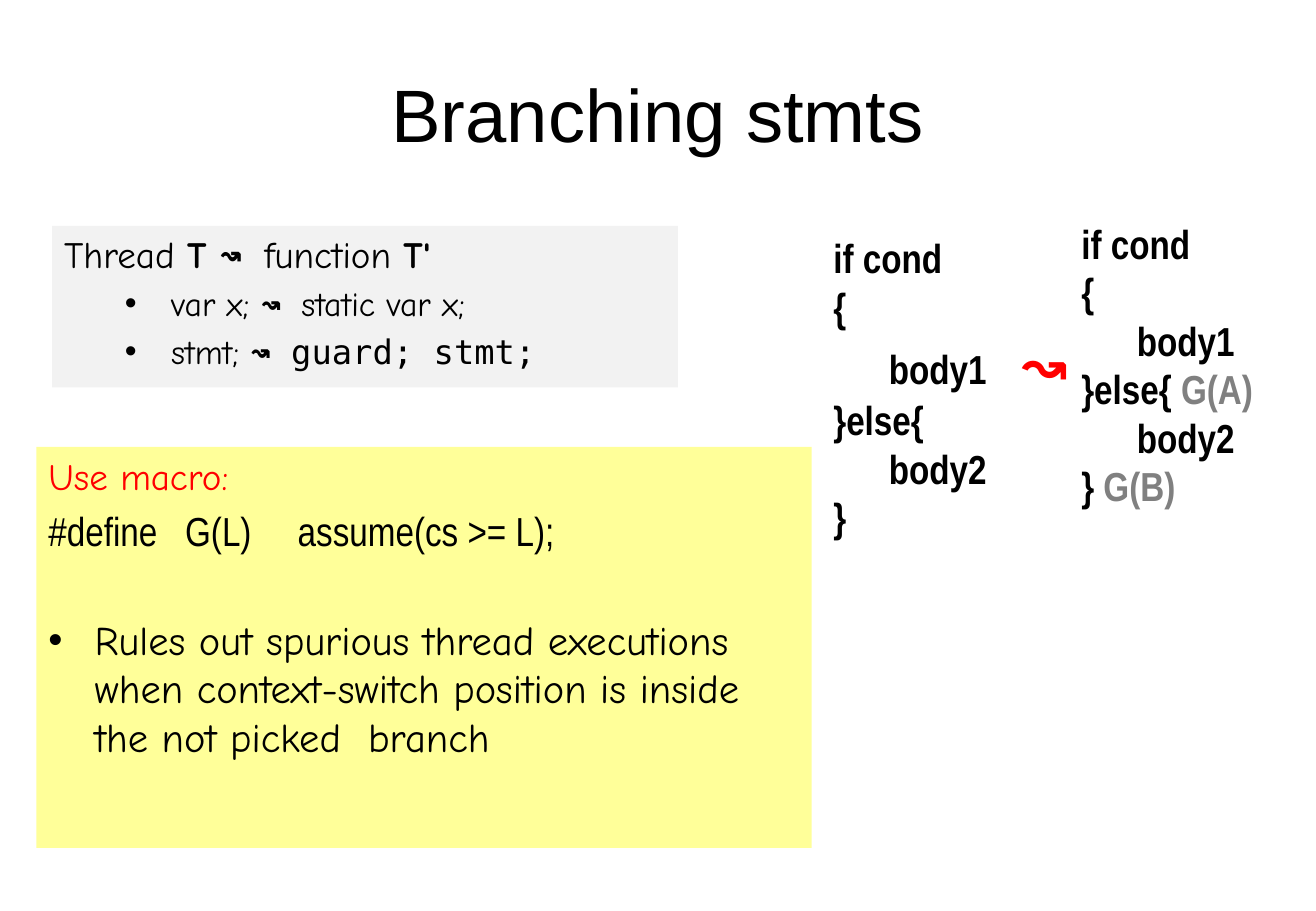
from lxml.etree import SubElement
from pptx import Presentation
from pptx.dml.color import RGBColor
from pptx.enum.shapes import MSO_SHAPE
from pptx.enum.text import MSO_ANCHOR, PP_ALIGN
from pptx.oxml.ns import qn
from pptx.util import Inches, Pt

WIDTH, HEIGHT = Inches(10.83), Inches(7.5)
GRID = 100
COLORS = {"black": "000000", "red": "FF0000", "gray": "808080",
          "yellow": "FFFF99", "light": "F2F2F2"}
TITLE = {"name": "Arial", "size": Pt(44)}
HEAD = {"name": "Comic Neue", "size": Pt(22)}
STRONG = {**HEAD, "bold": True}
RULE = {**HEAD, "size": Pt(20)}
NOTE = {**HEAD, "size": Pt(24)}
MONO = {"name": "DejaVu Sans Mono", "size": Pt(20)}
MAPS = {**MONO, "bold": True}
MACRO = {"name": "Arial Narrow", "size": Pt(24)}
CODE = {**MACRO, "bold": True}
ARROW = {**CODE, "size": Pt(32)}


def grid_box(left, top, width, height):
    """Turn columns and rows of the grid into slide lengths."""
    return (int(WIDTH * left / GRID), int(HEIGHT * top / GRID),
            int(WIDTH * width / GRID), int(HEIGHT * height / GRID))


def add_panel(s, area, color):
    """Add a plain filled rectangle and return its text frame."""
    sp = s.shapes.add_shape(MSO_SHAPE.RECTANGLE, *grid_box(*area))
    sp.shadow.inherit = False
    sp.fill.solid()
    sp.fill.fore_color.rgb = RGBColor.from_string(COLORS[color])
    sp.line.fill.background()
    return prepare(sp.text_frame)


def add_text(s, area, anchor=MSO_ANCHOR.TOP):
    """Add a text box and return its text frame."""
    return prepare(s.shapes.add_textbox(*grid_box(*area)).text_frame, anchor)


def prepare(tf, anchor=MSO_ANCHOR.TOP):
    """Turn on wrapping and set the vertical anchor."""
    tf.word_wrap = True
    tf.vertical_anchor = anchor
    return tf


def add_bullet(p, margin):
    """Give a paragraph a round bullet with a hanging indent."""
    pPr = p._p.get_or_add_pPr()
    pPr.set("marL", str(Inches(margin)))
    pPr.set("indent", str(-Inches(0.38)))
    color = SubElement(pPr, qn("a:buClr"))
    SubElement(color, qn("a:srgbClr"), val=COLORS["black"])
    SubElement(pPr, qn("a:buFont"), typeface="Arial")
    SubElement(pPr, qn("a:buChar"), char="•")


def add_tab(p, position):
    """Add a left tab stop to a paragraph."""
    tabs = SubElement(p._p.get_or_add_pPr(), qn("a:tabLst"))
    SubElement(tabs, qn("a:tab"), pos=str(Inches(position)), algn="l")


def add_paragraph(tf, runs, align=PP_ALIGN.LEFT, before=0, margin=None, tab=None):
    """Write runs of (text, format, color) as the next paragraph."""
    first = not tf.paragraphs[0].runs
    p = tf.paragraphs[0] if first else tf.add_paragraph()
    p.alignment = align
    if before and not first:
        p.space_before = Pt(before)
    if margin:
        add_bullet(p, margin)
    if tab:
        add_tab(p, tab)
    for text, style, color in runs:
        r = p.add_run()
        r.text = text
        r.font.color.rgb = RGBColor.from_string(COLORS[color])
        for key, value in style.items():
            setattr(r.font, key, value)


def add_branch(s, area, extras):
    """Write the if-else code, with an extra run on some lines."""
    tf = add_text(s, area)
    lines = ["if cond", "{", "      body1", "}else{", "      body2", "}"]
    for line in lines:
        runs = [(line, CODE, "black")] + extras.get(line, [])
        tabbed = any(text.startswith("\t") for text, _, _ in runs)
        add_paragraph(tf, runs, tab=1.55 if tabbed else None)


def add_thread_rules(s):
    """Add the panel that maps a thread to a function."""
    tf = add_panel(s, (3.97, 24.8, 47.55, 17.73), "light")
    arrow = ("↝ ", MAPS, "black")
    add_paragraph(tf, [("Thread ", HEAD, "black"), ("T ", STRONG, "black"),
                       ("↝ ", {**MAPS, "size": Pt(22)}, "black"),
                       ("function ", HEAD, "black"), ("T'", STRONG, "black")])
    for source, target, style in [("var x; ", "static var x;", RULE),
                                  ("stmt; ", "guard; stmt;", MONO)]:
        runs = [(source, RULE, "black"), arrow, (target, style, "black")]
        add_paragraph(tf, runs, before=4, margin=0.88)


def add_macro(s):
    """Add the panel with the guard macro and its purpose."""
    tf = add_panel(s, (2.77, 49.07, 58.91, 44), "yellow")
    add_paragraph(tf, [("Use macro:", HEAD, "red")])
    add_paragraph(tf, [("#define   G(L)     assume(cs >= L);", MACRO, "black")],
                  before=4.8)
    add_paragraph(tf, [("Rules out spurious thread executions when context-switch "
                        "position is inside the not picked  branch", NOTE, "black")],
                  before=36, margin=0.38)


def main():
    """Build the slide and save it."""
    prs = Presentation()
    prs.slide_width, prs.slide_height = WIDTH, HEIGHT
    s = prs.slides.add_slide(prs.slide_layouts[6])
    title = add_text(s, (5, 4, 90, 16.67), MSO_ANCHOR.MIDDLE)
    add_paragraph(title, [("Branching stmts", TITLE, "black")], PP_ALIGN.CENTER)
    add_macro(s)
    add_thread_rules(s)
    add_branch(s, (62.42, 24.93, 22.53, 40.8),
               {"      body1": [("\t↝", ARROW, "red")]})
    add_branch(s, (81.26, 23.33, 18.5, 39.07),
               {"}else{": [(" G(A)", CODE, "gray")], "}": [(" G(B)", CODE, "gray")]})
    prs.save("out.pptx")


if __name__ == "__main__":
    main()
